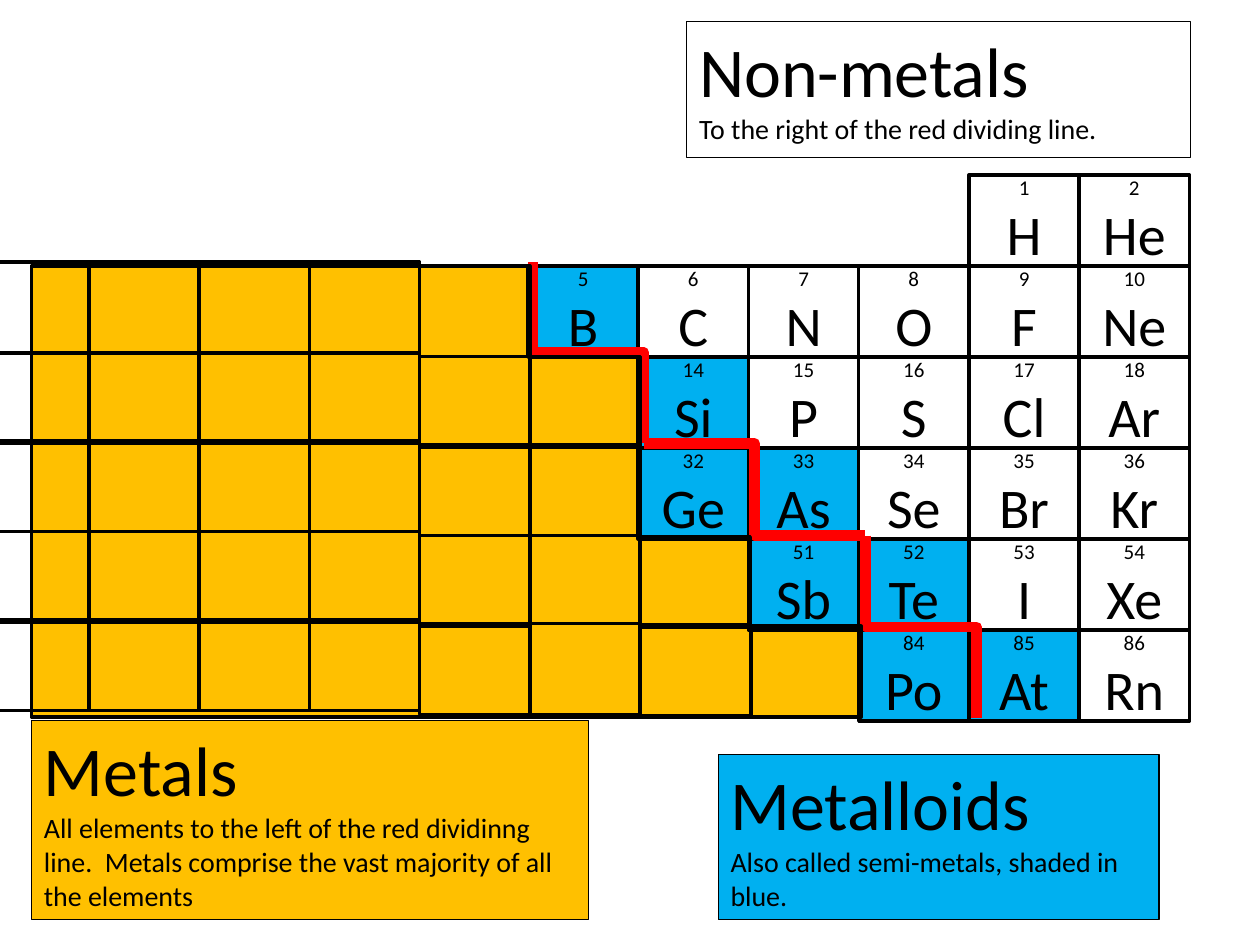
from pptx import Presentation
from pptx.dml.color import RGBColor
from pptx.enum.shapes import MSO_CONNECTOR as Conn, MSO_SHAPE as Shape
from pptx.enum.text import MSO_ANCHOR as Anchor, MSO_AUTO_SIZE as Fit, PP_ALIGN as Align
from pptx.oxml.ns import qn
from pptx.util import Inches, Pt
from lxml.etree import SubElement

HUES = {"black": "000000", "white": "FFFFFF", "gold": "FFC000",
        "blue": "00B0F0", "red": "FF0000"}
WIDE = 7 / 8
HIGH = 0.72
LEFT, TOP, STEP = 4.19, 1.39, 3.61 / 5

PERIODS = [
    (4, "1 H, 2 He"),
    (0, "5 B, 6 C, 7 N, 8 O, 9 F, 10 Ne"),
    (1, "14 Si, 15 P, 16 S, 17 Cl, 18 Ar"),
    (1, "32 Ge, 33 As, 34 Se, 35 Br, 36 Kr"),
    (2, "51 Sb, 52 Te, 53 I, 54 Xe"),
    (3, "84 Po, 85 At, 86 Rn"),
]
SEMI = {"B", "Si", "Ge", "As", "Sb", "Te", "Po", "At"}

DROPS = [0, 0.72, 1.42, 2.14, 2.84]
BLANKS = [(-0.17 + i * WIDE, 2.08, range(5)) for i in range(4)] + [
    (3.33, 2.11, range(5)),
    (4.21, 2.11, (1, 2, 4)),
    (5.08, 2.12, (3, 4)),
    (5.96, 2.13, (4,)),
]

NOTES = [
    ("Non-metals", "To the right of the red dividing line.",
     (5.45, 0.17, 4, 1.08), None),
    ("Metalloids", "Also called semi-metals, shaded in blue.",
     (5.7, 5.99, 3.5, 1.31), "blue"),
    ("Metals", "All elements to the left of the red dividinng line.  "
     "Metals comprise the vast majority of all the elements",
     (0.25, 5.72, 4.42, 1.58), "gold"),
]

STEPS = [
    ((4.23, 2.08), (5.11, 3.52), True),
    ((6.87, 4.25), (5.11, 3.52), False),
    ((6.87, 4.25), (7.75, 5.7), True),
]


def color(name):
    return RGBColor.from_string(HUES[name])


def add_box(shapes, area, fill=None, width=2):
    box = shapes.add_shape(Shape.RECTANGLE, *map(Inches, area))
    box.shadow.inherit = False
    if fill:
        box.fill.solid()
        box.fill.fore_color.rgb = color(fill)
    else:
        box.fill.background()
    box.line.color.rgb = color("black")
    box.line.width = Pt(width)
    return box


def write(frame, text, size=16, align=Align.LEFT, first=False):
    para = frame.paragraphs[0] if first else frame.add_paragraph()
    para.alignment = align
    run = para.add_run()
    run.text = text
    run.font.size = Pt(size)
    run.font.name = "Calibri"
    run.font.color.rgb = color("black")


def add_cell(shapes, col, row, number, symbol):
    fill = "blue" if symbol in SEMI else "white"
    area = (LEFT + col * WIDE, TOP + row * STEP, WIDE, STEP)
    frame = add_box(shapes, area, fill).text_frame
    frame.word_wrap = True
    frame.vertical_anchor = Anchor.MIDDLE
    write(frame, number, size=12, align=Align.CENTER, first=True)
    write(frame, symbol, size=32, align=Align.CENTER)


def add_note(shapes, title, body, area, fill):
    frame = add_box(shapes, area, fill, width=0.75).text_frame
    frame.word_wrap = True
    frame.auto_size = Fit.SHAPE_TO_FIT_TEXT
    frame.vertical_anchor = Anchor.TOP
    write(frame, title, size=40, first=True)
    write(frame, body)


def add_step(shapes, start, end, turned):
    (x1, y1), (x2, y2) = start, end
    if turned:
        mid_x, mid_y = (x1 + x2) / 2, (y1 + y2) / 2
        half_x, half_y = (x2 - x1) / 2, (y2 - y1) / 2
        x1, x2 = mid_x + half_y, mid_x - half_y
        y1, y2 = mid_y - half_x, mid_y + half_x
    line = shapes.add_connector(Conn.ELBOW, *map(Inches, (x1, y1, x2, y2)))
    line.line.color.rgb = color("red")
    line.line.width = Pt(6)
    props = line._element.spPr
    SubElement(props, qn("a:effectLst"))
    if turned:
        props.find(qn("a:xfrm")).set("rot", str(270 * 60000))


def main():
    deck = Presentation()
    deck.slide_width, deck.slide_height = Inches(10), Inches(7.5)
    shapes = deck.slides.add_slide(deck.slide_layouts[6]).shapes

    add_box(shapes, (0.25, 2.11, 6.58, 3.58), "gold")
    add_note(shapes, *NOTES[0])

    table = shapes.add_group_shape().shapes
    for row, (skip, items) in enumerate(PERIODS):
        for col, item in enumerate(items.split(", "), skip):
            add_cell(table, col, row, *item.split())

    stairs = shapes.add_group_shape().shapes
    for step in STEPS:
        add_step(stairs, *step)

    for note in NOTES[1:]:
        add_note(shapes, *note)

    for left, top, rows in BLANKS:
        for row in rows:
            add_box(shapes, (left, top + DROPS[row], WIDE, HIGH))

    deck.save("out.pptx")


if __name__ == "__main__":
    main()
